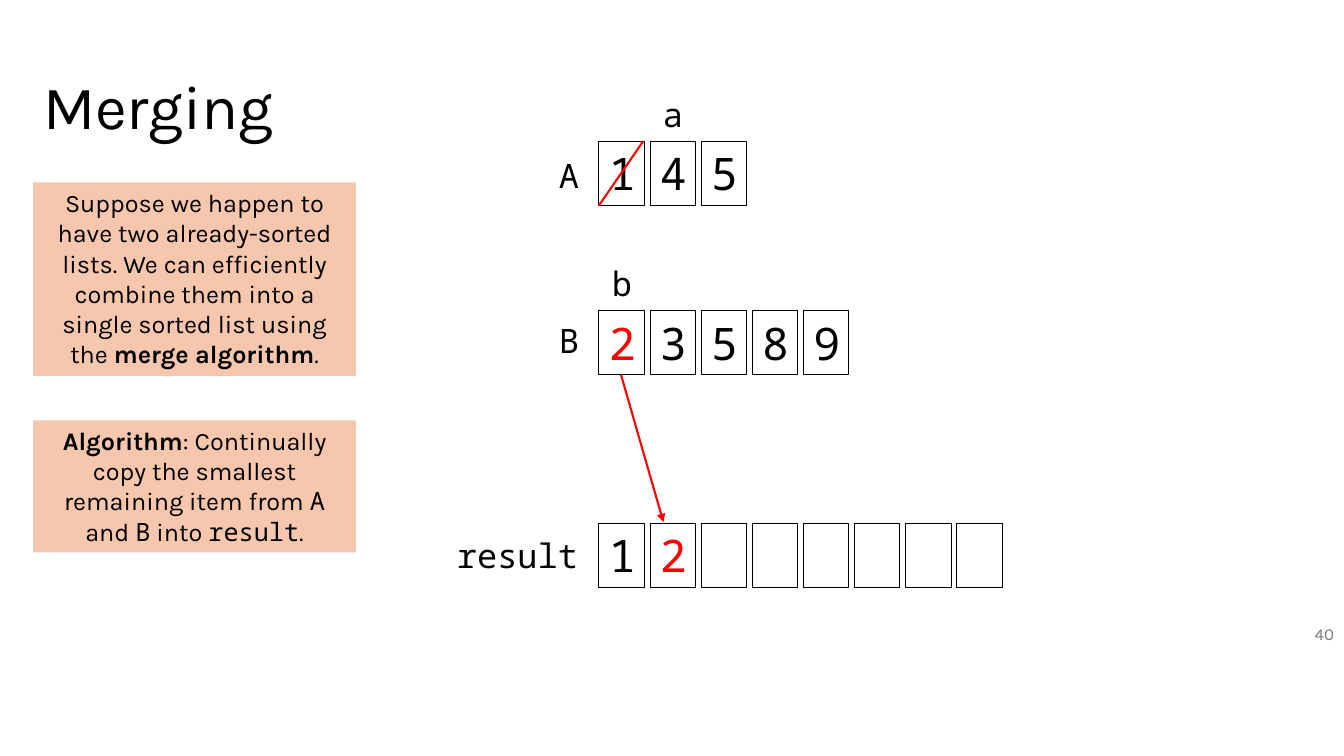
"""Build the slide that shows one step of merging two sorted lists."""
from lxml import etree
from pptx import Presentation
from pptx.dml.color import RGBColor
from pptx.enum import shapes, text
from pptx.oxml import ns
from pptx.util import Inches, Pt

COLORS = {"ink": "000000", "accent": "FF0000", "panel": "F6C6AD", "muted": "797979"}
SANS, MONO = "Karla", "Noto Sans Mono"
LEFT, CENTER, RIGHT = text.PP_ALIGN.LEFT, text.PP_ALIGN.CENTER, text.PP_ALIGN.RIGHT
GROW = text.MSO_AUTO_SIZE.SHAPE_TO_FIT_TEXT
MIDDLE = text.MSO_ANCHOR.MIDDLE

PLAIN = {"name": SANS, "size": 18, "bold": False}
BOLD = {**PLAIN, "bold": True}
CODE = {**PLAIN, "name": MONO}
LABEL = {"name": MONO, "size": 24}
DIGIT = {"name": MONO, "size": 32}

PANELS = [
    ((0.33, 1.81, 3.2, 1.92), [
        ("Suppose we happen to have two already-sorted lists. We can efficiently "
         "combine them into a single sorted list using the ", PLAIN),
        ("merge algorithm", BOLD), (".", PLAIN)]),
    ((0.33, 4.17, 3.2, 1.31), [
        ("Algorithm", BOLD),
        (": Continually copy the smallest remaining item from ", PLAIN),
        ("A", CODE), (" and ", PLAIN), ("B", CODE), (" into ", PLAIN),
        ("result", CODE), (".", PLAIN)]),
]
ROWS = [
    {"name": "A", "label": (5.39, 1.49, 0.45, 0.5), "top": 1.4,
     "values": ["1", "4", "5"], "pointer": ("a", 1), "active": None},
    {"name": "B", "label": (5.39, 3.12, 0.45, 0.5), "top": 3.08,
     "values": ["2", "3", "5", "8", "9"], "pointer": ("b", 0), "active": 0},
    {"name": "result", "label": (4.42, 5.26, 1.41, 0.5), "top": 5.19,
     "values": ["1", "2"] + [""] * 6, "pointer": None, "active": 1},
]
STRIKE = ((5.94, 2.04), (6.38, 1.4))
COPY_ARROW = ((6.16, 3.72), (6.58, 5.18))

CELL_LEFT, CELL_WIDTH, CELL_HEIGHT = 5.94, 0.45, 0.64
CELL_STEP = 3.55 / 7
POINTER_WIDTH, POINTER_HEIGHT, POINTER_RISE = 0.39, 0.5, 0.52


def color(name):
    return RGBColor.from_string(COLORS[name])


def write(shape, runs, align=LEFT, tint="ink", spacing=None, **frame_format):
    frame = shape.text_frame
    settings = {"word_wrap": True, "vertical_anchor": text.MSO_ANCHOR.TOP, **frame_format}
    for key, value in settings.items():
        setattr(frame, key, value)
    paragraph = frame.paragraphs[0]
    paragraph.alignment = align
    paragraph.line_spacing = spacing
    for content, font_format in runs:
        run = paragraph.add_run()
        run.text = content
        for key, value in font_format.items():
            setattr(run.font, key, Pt(value) if key == "size" else value)
        run.font.color.rgb = color(tint)


def add_text(parent, box, runs, **options):
    write(parent.add_textbox(*map(Inches, box)), runs, **options)


def add_box(parent, box, fill=None, line=None):
    shape = parent.add_shape(shapes.MSO_SHAPE.RECTANGLE, *map(Inches, box))
    shape.shadow.inherit = False
    if fill:
        shape.fill.solid()
        shape.fill.fore_color.rgb = color(fill)
    else:
        shape.fill.background()
    if line:
        shape.line.color.rgb = color(line)
        shape.line.width = Pt(0.75)
    else:
        shape.line.fill.background()
    return shape


def add_line(parent, start, end, arrow=False):
    line = parent.add_connector(shapes.MSO_CONNECTOR.STRAIGHT, *map(Inches, start + end))
    line.line.color.rgb = color("accent")
    line.line.width = Pt(1.5)
    if arrow:
        etree.SubElement(line.line._get_or_add_ln(), ns.qn("a:tailEnd"), type="triangle")
    etree.SubElement(line._element.spPr, ns.qn("a:effectLst"))


def add_row(parent, row):
    group = parent.add_group_shape().shapes
    for index, value in enumerate(row["values"]):
        left = CELL_LEFT + index * CELL_STEP
        cell = add_box(group, (left, row["top"], CELL_WIDTH, CELL_HEIGHT), line="ink")
        if value:
            tint = "accent" if index == row["active"] else "ink"
            write(cell, [(value, DIGIT)], tint=tint, word_wrap=False, auto_size=GROW)
    if row["pointer"]:
        name, index = row["pointer"]
        left = CELL_LEFT + index * CELL_STEP + (CELL_WIDTH - POINTER_WIDTH) / 2
        box = (left, row["top"] - POINTER_RISE, POINTER_WIDTH, POINTER_HEIGHT)
        add_text(group, box, [(name, LABEL)], word_wrap=False, auto_size=GROW)
    add_text(parent, row["label"], [(row["name"], LABEL)], align=RIGHT, auto_size=GROW)


def main():
    presentation = Presentation()
    presentation.slide_width, presentation.slide_height = Inches(13.33), Inches(7.5)
    canvas = presentation.slides.add_slide(presentation.slide_layouts[6]).shapes
    add_text(canvas, (10.33, 6.09, 3, 0.4), [("40", {"name": SANS, "size": 12})],
             align=RIGHT, tint="muted", vertical_anchor=MIDDLE)
    add_text(canvas, (0.33, 0.36, 3.61, 1.45), [("Merging", {"name": SANS, "size": 44})],
             spacing=0.9, vertical_anchor=MIDDLE)
    for box, runs in PANELS:
        write(add_box(canvas, box, fill="panel"), runs, align=CENTER, auto_size=GROW)
    for row in ROWS:
        add_row(canvas, row)
    add_line(canvas, *STRIKE)
    add_line(canvas, *COPY_ARROW, arrow=True)
    presentation.save("out.pptx")


if __name__ == "__main__":
    main()
